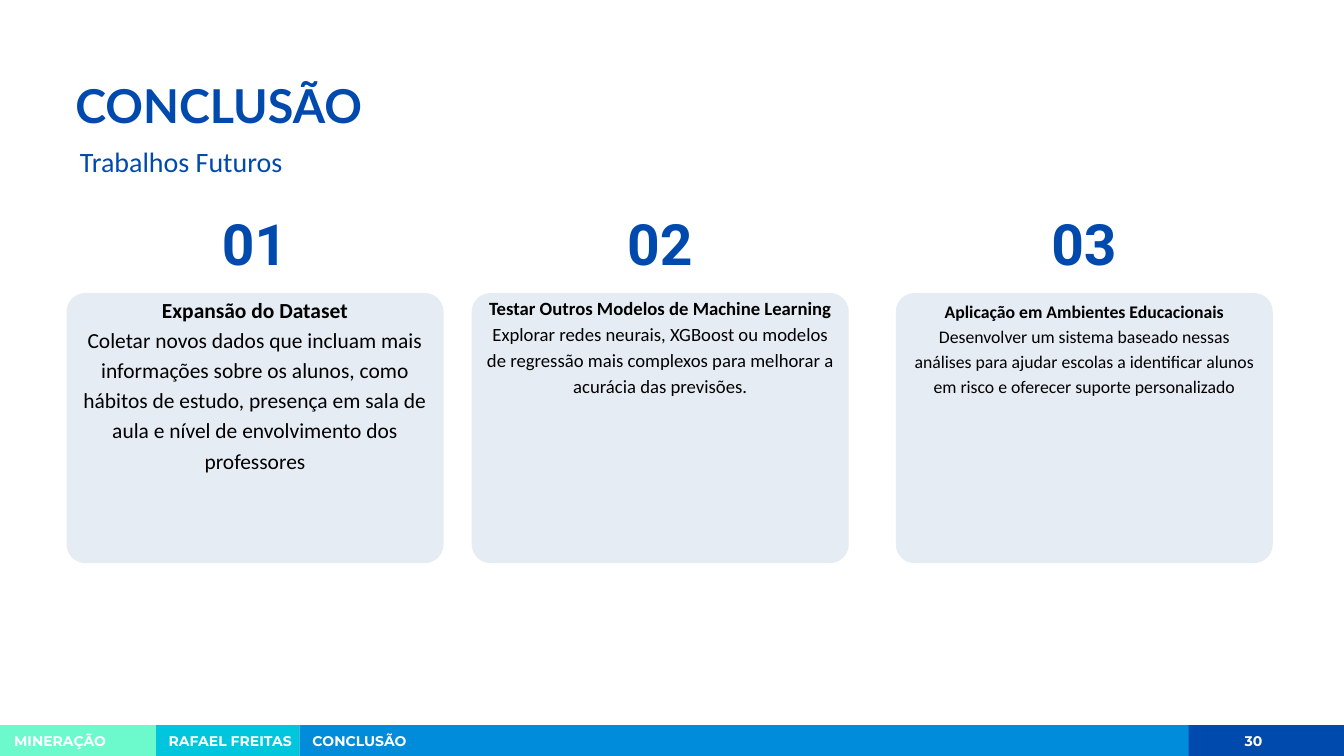
"""Builds the conclusion slide: a heading, three numbered cards and a footer bar."""
from pptx import Presentation
from pptx.dml.color import RGBColor
from pptx.enum.shapes import MSO_SHAPE as SHAPE
from pptx.enum.text import MSO_ANCHOR as ANCHOR, MSO_AUTO_SIZE as AUTO, PP_ALIGN as ALIGN
from pptx.util import Emu, Pt

COLORS = {
    "navy": "004AAD", "cyan": "00C6DD", "blue": "008CDA", "mint": "6CFACD",
    "card": "E6ECF4", "black": "000000", "white": "FFFFFF",
}

TITLE = "CONCLUSÃO"
SUBTITLE = "Trabalhos Futuros"

# left, text top, font size, heading, body
CARDS = [
    (112, 430, 23, "Expansão do Dataset",
     "Coletar novos dados que incluam mais informações sobre os alunos, como hábitos de "
     "estudo, presença em sala de aula e nível de envolvimento dos professores"),
    (715, 430, 20, "Testar Outros Modelos de Machine Learning",
     "Explorar redes neurais, XGBoost ou modelos de regressão mais complexos para melhorar "
     "a acurácia das previsões."),
    (1346, 437, 19, "Aplicação em Ambientes Educacionais",
     "Desenvolver um sistema baseado nessas análises para ajudar escolas a identificar "
     "alunos em risco e oferecer suporte personalizado"),
]

# bar left, bar width, colour, text left, text width, alignment, text
FOOTER = [
    (1753, 247, "navy", 1753, 225, ALIGN.CENTER, "30"),
    (224, 222, "cyan", 251, 195, ALIGN.LEFT, "RAFAEL FREITAS"),
    (446, 1323, "blue", 465, 1254, ALIGN.LEFT, "CONCLUSÃO"),
    (0, 232, "mint", 21, 190, ALIGN.LEFT, "MINERAÇÃO"),
]

SLIDE_W, SLIDE_H = 2000, 1125
CARD_TOP, CARD_W, CARD_BOTTOM = 449, 535, 825
NUMBER_TOP, NUMBER_W, NUMBER_H = 294, 126, 135
BAR_TOP = 1079
LEADING = 1.4


def px(n):
    return Emu(n * 9144)


def rgb(name):
    return RGBColor.from_string(COLORS[name])


def write(sp, lines, size, font, color, align=ALIGN.LEFT, inset=0):
    """Fills a shape with (text, bold) lines."""
    tf = sp.text_frame
    tf.word_wrap = True
    tf.auto_size = AUTO.NONE
    tf.vertical_anchor = ANCHOR.TOP
    tf.margin_left = tf.margin_right = tf.margin_top = tf.margin_bottom = px(inset)
    for i, (text, bold) in enumerate(lines):
        p = tf.paragraphs[0] if i == 0 else tf.add_paragraph()
        p.alignment = align
        p.line_spacing = Pt(round(size * LEADING, 1))
        p.space_before = p.space_after = Pt(0)
        r = p.add_run()
        r.text = text
        r.font.size = Pt(size)
        r.font.name = font
        r.font.bold = bold
        r.font.color.rgb = rgb(color)


def place(sp, *box):
    sp.left, sp.top, sp.width, sp.height = map(px, box)
    return sp


def add_text(slide, box, *args, **kwargs):
    write(slide.shapes.add_textbox(*map(px, box)), *args, **kwargs)


def add_block(slide, kind, box, color):
    sp = slide.shapes.add_shape(kind, *map(px, box))
    sp.shadow.inherit = False
    sp.fill.solid()
    sp.fill.fore_color.rgb = rgb(color)
    sp.line.fill.background()
    return sp


def add_card(slide, number, left, text_top, size, heading, body):
    number_left = left + (CARD_W - NUMBER_W) // 2
    add_text(slide, (number_left, NUMBER_TOP, NUMBER_W, NUMBER_H),
             [(f"{number:02d}", True)], 61, "Roboto", "navy", ALIGN.CENTER)
    box = (left, CARD_TOP, CARD_W, CARD_BOTTOM - CARD_TOP)
    sp = add_block(slide, SHAPE.ROUNDED_RECTANGLE, box, "card")
    sp.adjustments[0] = 0.04
    sp.line.color.rgb = rgb("card")
    sp.line.width = Pt(18.75)
    add_text(slide, (left, text_top, CARD_W, CARD_BOTTOM - text_top),
             [(heading, True), (body, False)], size, "Calibri", "black", ALIGN.CENTER, inset=6)


def main():
    prs = Presentation()
    prs.slide_width, prs.slide_height = px(SLIDE_W), px(SLIDE_H)
    slide = prs.slides.add_slide(prs.slide_layouts[0])

    title, subtitle = slide.placeholders
    write(place(title, 112, 101, 764, 94), [(TITLE, True)], 50, "Lato", "navy")
    write(place(subtitle, 119, 206, 1761, 55), [(SUBTITLE, False)], 30, "Calibri", "navy")

    for number, card in enumerate(CARDS, start=1):
        add_card(slide, number, *card)

    for left, width, color, text_left, text_width, align, text in FOOTER:
        add_block(slide, SHAPE.RECTANGLE, (left, BAR_TOP, width, SLIDE_H - BAR_TOP), color)
        add_text(slide, (text_left, 1086, text_width, 28),
                 [(text, True)], 15, "Montserrat", "white", align)
    prs.save("out.pptx")


if __name__ == "__main__":
    main()
